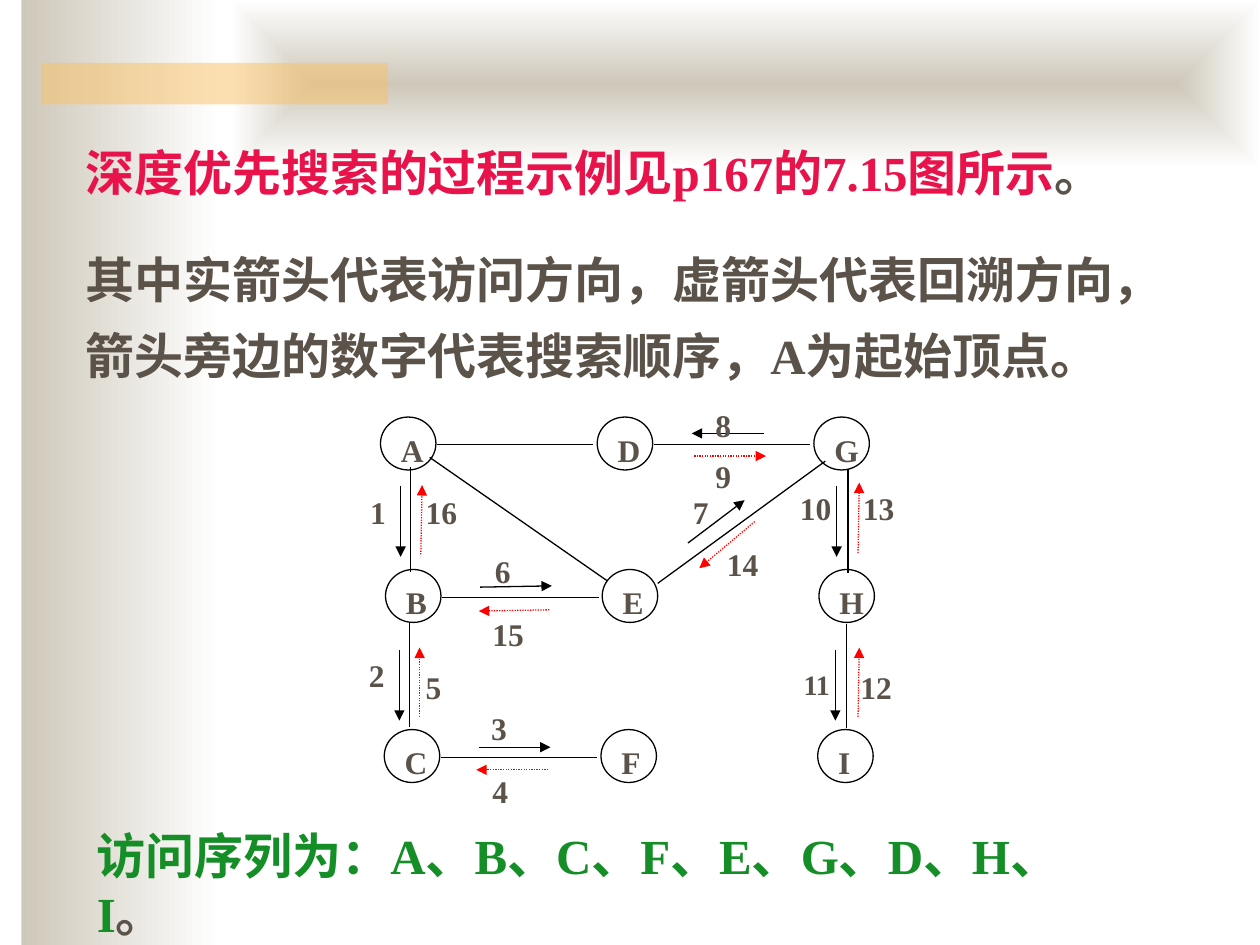
from dataclasses import dataclass

from lxml import etree
from pptx import Presentation
from pptx import util as u
from pptx.dml.color import RGBColor
from pptx.enum import dml, shapes, text
from pptx.oxml import ns


@dataclass(frozen=True)
class Theme:
    font: str = "Times New Roman"
    ink: str = "5B5249"
    red: str = "E9134B"
    green: str = "168E27"
    tan: str = "CEC8BA"
    amber: str = "FAC164"
    white: str = "FFFFFF"
    black: str = "000000"
    back: str = "FF0000"
    body: int = 28
    label: int = 18
    small: int = 16
    gap: float = 17.5
    line: float = 0.75


COLS, ROWS = 100, 75  # grid cells across and down the slide


def rgb(value):
    return RGBColor.from_string(value)


def child(parent, tag, **attrs):
    return etree.SubElement(parent, ns.qn(tag), attrs)


class Page:
    def __init__(self, prs, theme):
        self.t = theme
        self.s = prs.slides.add_slide(prs.slide_layouts[6])
        self.cw, self.rh = prs.slide_width / COLS, prs.slide_height / ROWS

    def place(self, x, y, w, h):
        return [u.Emu(round(v)) for v in
                (x * self.cw, y * self.rh, w * self.cw, h * self.rh)]

    def shape(self, kind, box):
        sp = self.s.shapes.add_shape(kind, *self.place(*box))
        sp.shadow.inherit = False
        sp.line.fill.background()
        return sp

    def band(self, box, color, alpha):
        sp = self.shape(shapes.MSO_SHAPE.RECTANGLE, box)
        sp.fill.solid()
        sp.fill.fore_color.rgb = rgb(color)
        clr = next(sp._element.spPr.iter(ns.qn("a:srgbClr")))
        child(clr, "a:alpha", val=str(alpha * 1000))

    def gradient(self, box, from_centre=False):
        sp = self.shape(shapes.MSO_SHAPE.RECTANGLE, box)
        sp.fill.gradient()
        sp.fill.gradient_angle = 0
        for stop, color in zip(sp.fill.gradient_stops, (self.t.tan, self.t.white)):
            stop.color.rgb = rgb(color)
        if from_centre:
            grad = sp._element.spPr.find(ns.qn("a:gradFill"))
            grad.remove(grad.find(ns.qn("a:lin")))
            path = child(grad, "a:path", path="rect")
            child(path, "a:fillToRect", l="50000", t="50000", r="50000", b="50000")

    def run(self, p, words, size, color):
        r = p.add_run()
        r.text = words
        r.font.name, r.font.size, r.font.bold = self.t.font, u.Pt(size), True
        r.font.color.rgb = rgb(color)

    def label(self, sp, words, size):
        tf = sp.text_frame
        tf.word_wrap, tf.vertical_anchor = True, text.MSO_ANCHOR.TOP
        p = tf.paragraphs[0]
        p.alignment = text.PP_ALIGN.JUSTIFY
        self.run(p, words, size, self.t.ink)

    def number(self, words, x, y, w=4.4, h=4.2, size=None):
        sp = self.s.shapes.add_textbox(*self.place(x, y, w, h))
        self.label(sp, words, size or self.t.label)

    def node(self, name, x, y):
        sp = self.shape(shapes.MSO_SHAPE.OVAL, (x, y, 4.4, 4.2))
        sp.fill.solid()
        sp.fill.fore_color.rgb = rgb(self.t.white)
        sp.line.color.rgb = rgb(self.t.black)
        sp.line.width = u.Pt(self.t.line)
        self.label(sp, name, self.t.label)

    def line(self, start, end, arrow=False, back=False):
        c = self.s.shapes.add_connector(
            shapes.MSO_CONNECTOR.STRAIGHT, *self.place(*start, *end))
        c.line.color.rgb = rgb(self.t.back if back else self.t.black)
        c.line.width = u.Pt(self.t.line)
        if back:
            c.line.dash_style = dml.MSO_LINE.ROUND_DOT
        if arrow:
            child(c.line._get_or_add_ln(), "a:tailEnd", type="triangle")
        child(c._element.spPr, "a:effectLst")

    def prose(self, box, paragraphs):
        """Each paragraph is (line spacing, [(words, color), ...])."""
        tf = self.s.shapes.add_textbox(*self.place(*box)).text_frame
        tf.word_wrap, tf.auto_size = True, text.MSO_AUTO_SIZE.SHAPE_TO_FIT_TEXT
        for i, (spacing, runs) in enumerate(paragraphs):
            p = tf.add_paragraph() if i else tf.paragraphs[0]
            p.line_spacing = spacing
            if i:
                p.space_before = u.Pt(self.t.gap)
            for words, color in runs:
                self.run(p, words, self.t.body, color)


# Graph rows: names by column, left and top of the first node
NODE_ROWS = [("ADG", 30.2, 33.1), ("BEH", 30.6, 45.2), ("CFI", 30.5, 57.9)]
PITCH = 17.2
# Horizontal edges: graph row and the column they start from
LEVEL_EDGES = [(0, 0), (0, 1), (1, 0), (2, 0)]
# Vertical edges: upper end
UPRIGHT_EDGES = [(32.6, 37.1), (67.3, 37.2), (32.5, 49.4), (67.2, 49.5)]
SLANTED_EDGES = [((52.2, 46.3), (65.5, 36.6)), ((34.1, 36.3), (48.2, 46.1))]
# Search steps: number, label box, arrow start, arrow end
VISITS = [
    ("1", (28.4, 38.6), (31.8, 38.6), (31.8, 44.2)),
    ("2", (28.3, 51.6), (31.7, 51.6), (31.7, 57.2)),
    ("3", (38, 55.8), (38, 59.3), (43.7, 59.3)),
    ("6", (38.3, 43.3), (38.1, 46.6), (43.8, 46.5)),
    ("7", (54, 38.6), (54.6, 43.1), (59.1, 39.7)),
    ("8", (55.8, 31.7), (60.6, 34.4), (54.9, 34.4)),
    ("10", (62.5, 38.3, 4.7), (66.4, 38.6), (66.4, 44.2)),
    ("11", (62.8, 52.5, 4.4, 4.2, Theme.small), (66.3, 51.6), (66.3, 57.2)),
]
RETURNS = [
    ("4", (38.1, 60.8), (43.5, 61.1), (37.8, 61.1)),
    ("5", (32.8, 52.5), (33.3, 56.9), (33.3, 51.4)),
    ("9", (55.8, 35.8), (55.1, 36.2), (60.8, 36.2)),
    ("12", (67.3, 52.5, 5.2), (68.1, 56.9), (68.2, 51.4)),
    ("13", (67.5, 38.3, 5), (68.1, 43.9), (68.2, 38.3)),
    ("14", (56.7, 42.8, 5.8, 3.1), (59.9, 41.4), (55.5, 45.1)),
    ("15", (38.1, 48.3, 6), (43.6, 48.4), (38, 48.5)),
    ("16", (32.8, 38.6, 5.5, 3.9), (33.4, 44), (33.5, 38.5)),
]


def main():
    prs = Presentation()
    prs.slide_width, prs.slide_height = u.Inches(10), u.Inches(7.5)
    t = Theme()
    page = Page(prs, t)

    # Background bands
    page.gradient((1.7, 0, 15.8, 75))
    page.gradient((18.3, 0, 81.7, 13.3), from_centre=True)
    page.band((3.3, 5, 27.5, 3.3), t.amber, 50)

    # Explanation
    page.prose((5.8, 10.8, 90.8, 20.3), [
        (1.0, [("深度优先搜索的过程示例见p167的7.15图所示", t.red), ("。", t.ink)]),
        (1.3, [("其中实箭头代表访问方向，虚箭头代表回溯方向，"
                "箭头旁边的数字代表搜索顺序，A为起始顶点。", t.ink)]),
    ])

    # Graph nodes and edges
    for names, left, top in NODE_ROWS:
        for col, name in enumerate(names):
            page.node(name, left + col * PITCH, top)
    for row, col in LEVEL_EDGES:
        _, left, top = NODE_ROWS[row]
        x, y = left + col * PITCH + 4.5, top + 2.2
        page.line((x, y), (x + 12.4, y))
    for x, y in UPRIGHT_EDGES:
        page.line((x, y), (x, y + 8.3))
    for start, end in SLANTED_EDGES:
        page.line(start, end)

    # Search steps
    for steps, back in ((VISITS, False), (RETURNS, True)):
        for number, box, start, end in steps:
            page.line(start, end, arrow=True, back=back)
            page.number(number, *box)

    # Resulting order
    page.prose((6.7, 65, 82.5, 10.4), [
        (1.0, [("访问序列为：A、B、C、F、E、G、D、H、I", t.green), ("。", t.ink)]),
    ])
    prs.save("out.pptx")


if __name__ == "__main__":
    main()
